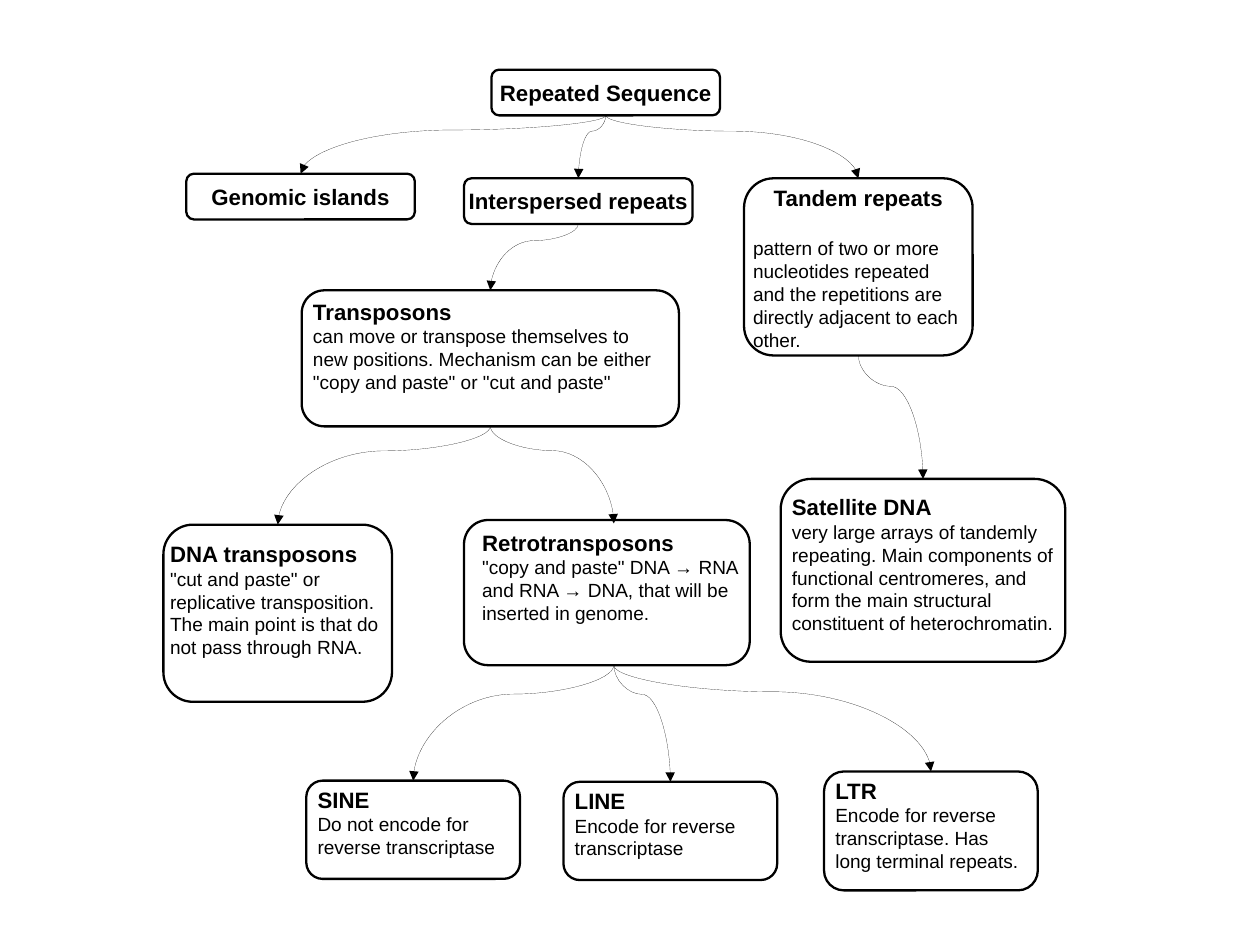
from dataclasses import dataclass

from lxml.etree import SubElement
from pptx import Presentation
from pptx.dml.color import RGBColor
from pptx.enum.shapes import MSO_CONNECTOR as Link, MSO_SHAPE as Preset
from pptx.enum.text import MSO_ANCHOR as Anchor, MSO_AUTO_SIZE as AutoSize, PP_ALIGN as Align
from pptx.oxml.ns import qn
from pptx.util import Cm, Inches, Pt


@dataclass(frozen=True)
class Theme:
    font: str = "Arial"
    ink: RGBColor = RGBColor(0, 0, 0)
    heading: Pt = Pt(14)
    body: Pt = Pt(12)
    border: Pt = Pt(1.45)
    bend: int = 25000  # share of the drop at which a link turns


THEME = Theme()

# Content: box as left, top, width, height in inches
LABELS = {
    "Repeated Sequence": (4.3, 0.61, 2, 0.4),
    "Genomic islands": (1.63, 1.52, 2, 0.4),
    "Interspersed repeats": (4.06, 1.56, 2, 0.4),
}
# Heading: (frame, text area, description)
DETAILS = {
    "Tandem repeats": (
        (6.51, 1.56, 2, 1.55), (6.49, 1.56, 2.04, 1.87),
        "pattern of two or more nucleotides repeated and the repetitions are "
        "directly adjacent to each other."),
    "Transposons": (
        (2.64, 2.54, 3.3, 1.19), (2.64, 2.56, 3.3, 1.42),
        "can move or transpose themselves to new positions. Mechanism can be "
        'either "copy and paste" or "cut and paste"'),
    "Satellite DNA": (
        (6.83, 4.19, 2.49, 1.6), (6.83, 4.27, 2.59, 1.79),
        "very large arrays of tandemly repeating. Main components of functional "
        "centromeres, and form the main structural constituent of heterochromatin."),
    "DNA transposons": (
        (1.43, 4.59, 2, 1.55), (1.39, 4.68, 2.04, 1.82),
        '"cut and paste" or replicative transposition. The main point is that '
        "do not pass through RNA."),
    "Retrotransposons": (
        (4.06, 4.55, 2.5, 1.27), (4.12, 4.58, 2.5, 1.24),
        '"copy and paste" DNA → RNA and RNA → DNA, that will be inserted in genome.'),
    "SINE": (
        (2.68, 6.83, 1.87, 0.86), (2.68, 6.83, 1.87, 1.04),
        "Do not encode for reverse transcriptase"),
    "LINE": (
        (4.93, 6.84, 1.87, 0.86), (4.93, 6.84, 1.87, 1.04),
        "Encode for reverse transcriptase"),
    "LTR": (
        (7.21, 6.75, 1.87, 1.04), (7.21, 6.75, 1.87, 1.04),
        "Encode for reverse transcriptase. Has long terminal repeats."),
}
CHILDREN = {
    "Repeated Sequence": ["Genomic islands", "Interspersed repeats", "Tandem repeats"],
    "Tandem repeats": ["Satellite DNA"],
    "Interspersed repeats": ["Transposons"],
    "Transposons": ["Retrotransposons", "DNA transposons"],
    "Retrotransposons": ["SINE", "LINE", "LTR"],
}
CENTERED = "Tandem repeats"  # heading centred, with a gap below it
LINKED_BY_TEXT = "Retrotransposons"  # links meet its text area, not its frame


def inches(box):
    return [Inches(length) for length in box]


def add_frame(slide, box):
    frame = slide.shapes.add_shape(Preset.ROUNDED_RECTANGLE, *inches(box))
    frame.shadow.inherit = False
    frame.fill.background()
    frame.line.color.rgb = THEME.ink
    frame.line.width = THEME.border
    return frame


def write(paragraph, words, size, bold=False, align=Align.LEFT):
    paragraph.alignment = align
    run = paragraph.add_run()
    run.text = words
    run.font.name, run.font.size, run.font.bold = THEME.font, size, bold
    run.font.color.rgb = THEME.ink


def set_insets(text, across, down):
    text.margin_left = text.margin_right = Inches(across)
    text.margin_top = text.margin_bottom = Inches(down)


def add_label(slide, heading, box):
    label = add_frame(slide, box)
    text = label.text_frame
    text.auto_size, text.word_wrap = AutoSize.NONE, False
    text.vertical_anchor = Anchor.MIDDLE
    set_insets(text, 0.11, 0.06)
    write(text.paragraphs[0], heading, THEME.heading, True, Align.CENTER)
    return label


def add_description(slide, heading, area, description):
    passage = slide.shapes.add_textbox(*inches(area))
    text = passage.text_frame
    text.word_wrap = True
    set_insets(text, 0.1, 0.05)
    first = text.paragraphs[0]
    centered = heading == CENTERED
    write(first, heading, THEME.heading, True, Align.CENTER if centered else Align.LEFT)
    if centered:
        first.space_after = Pt(16.5)
    write(text.add_paragraph(), description, THEME.body)
    return passage


def add_link(slide, parent, child):
    """Curve from the bottom centre of parent to the top centre of child."""
    x1, y1 = parent.left + parent.width // 2, parent.top + parent.height
    x2, y2 = child.left + child.width // 2, child.top
    drop, shift = y2 - y1, abs(x2 - x1)

    link = slide.shapes.add_connector(Link.CURVE, x1, y1, x2, y2)
    link.begin_connect(parent, 2)
    link.end_connect(child, 0)

    # The preset runs sideways, so lay it out flat and turn it downwards
    link.left, link.top = (x1 + x2 - drop) // 2, (y1 + y2 - shift) // 2
    link.width, link.height = drop, shift
    rightward = x2 > x1
    properties = link._element.spPr
    transform = properties.find(qn("a:xfrm"))
    transform.set("rot", str((270 if rightward else 90) * 60000))
    transform.set("flipH", "1" if rightward else "0")
    transform.set("flipV", "0")
    bends = properties.find(qn("a:prstGeom")).find(qn("a:avLst"))
    SubElement(bends, qn("a:gd"), name="adj1", fmla=f"val {THEME.bend}")

    # Hairline: an explicit zero width, which the width property would drop
    link.line.color.rgb = THEME.ink
    stroke = properties.find(qn("a:ln"))
    stroke.set("w", "0")
    SubElement(stroke, qn("a:tailEnd"), type="triangle")
    SubElement(properties, qn("a:effectLst"))


def main():
    deck = Presentation()
    deck.slide_width, deck.slide_height = Cm(28), Cm(21)
    deck.element.sldSz.attrib.pop("type", None)  # a custom size, no preset
    slide = deck.slides.add_slide(deck.slide_layouts.get_by_name("Blank"))

    # Nodes
    nodes = {heading: add_label(slide, heading, box) for heading, box in LABELS.items()}
    for heading, (box, area, description) in DETAILS.items():
        frame = add_frame(slide, box)
        passage = add_description(slide, heading, area, description)
        nodes[heading] = passage if heading == LINKED_BY_TEXT else frame

    # Links
    for parent, children in CHILDREN.items():
        for child in children:
            add_link(slide, nodes[parent], nodes[child])

    deck.save("out.pptx")


if __name__ == "__main__":
    main()
